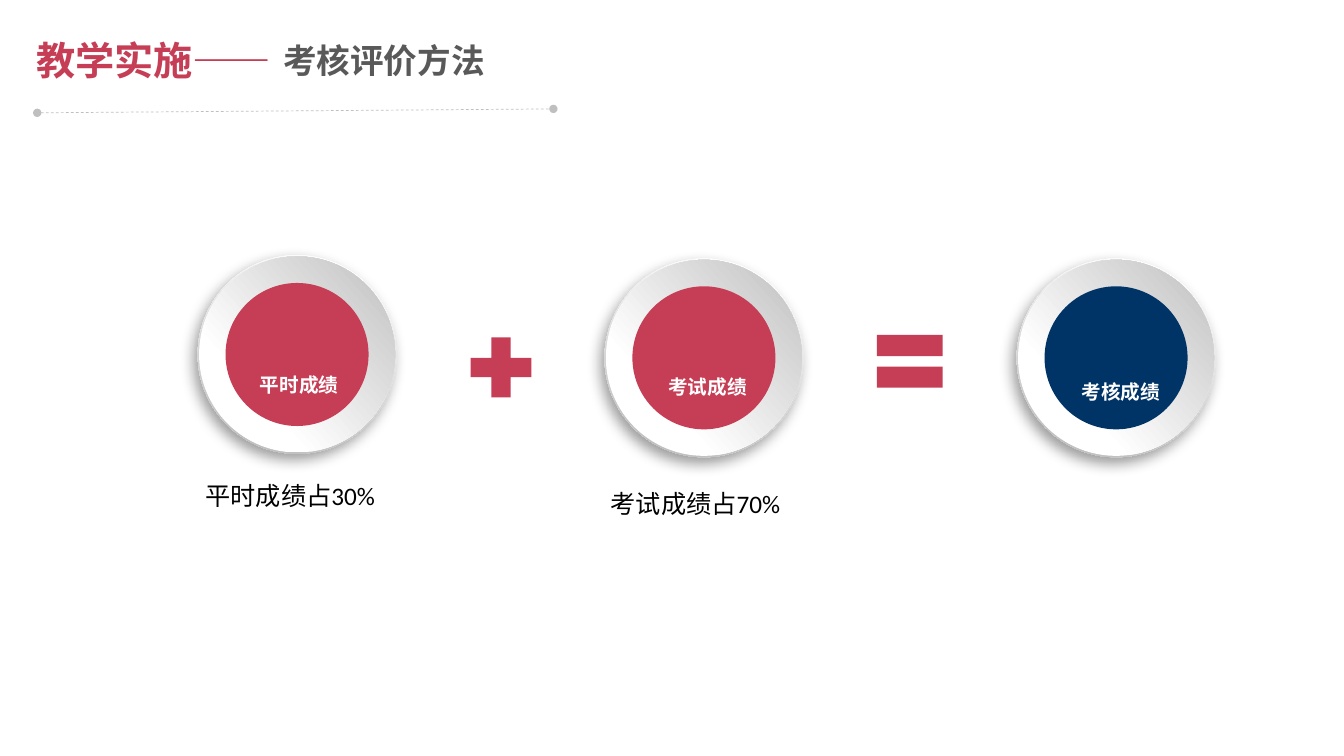
from dataclasses import dataclass

from lxml.etree import SubElement
from pptx import Presentation
from pptx.dml.color import RGBColor
from pptx.enum.dml import MSO_LINE as Dash
from pptx.enum.shapes import MSO_CONNECTOR as Link, MSO_SHAPE as Kind
from pptx.enum.text import MSO_AUTO_SIZE as Fit
from pptx.oxml.ns import qn
from pptx.util import Pt


@dataclass(frozen=True)
class Theme:
    red: str = "C63E55"
    navy: str = "003366"
    gray: str = "595959"
    rule: str = "BFBFBF"
    rim: str = "B8B8B8"
    white: str = "FFFFFF"
    black: str = "000000"
    title: int = 28
    topic: int = 24
    note: int = 18
    label: int = 14
    sans: str = "Noto Sans CJK SC"
    latin: str = "Calibri"


class Board:
    def __init__(self, slide, theme):
        self.slide = slide
        self.theme = theme

    def text(self, words, box, size, color, bold=True, face=None, wrap=True, home=None):
        home = home or self.slide.shapes
        shape = home.add_textbox(*map(Pt, box))
        frame = shape.text_frame
        frame.word_wrap = wrap
        frame.auto_size = Fit.SHAPE_TO_FIT_TEXT
        run = frame.paragraphs[0].add_run()
        run.text = words
        style = {"name": face or self.theme.sans, "size": Pt(size), "bold": bold}
        for key, value in style.items():
            setattr(run.font, key, value)
        run.font.color.rgb = RGBColor.from_string(color)
        SubElement(run.font._element, qn("a:ea"), typeface=self.theme.sans)

    def shape(self, kind, box, color=None, home=None):
        home = home or self.slide.shapes
        shape = home.add_shape(kind, *map(Pt, box))
        shape.shadow.inherit = False
        shape.line.fill.background()
        if color:
            shape.fill.solid()
            shape.fill.fore_color.rgb = RGBColor.from_string(color)
        return shape

    def disc(self, mid, size, color=None, home=None):
        x, y = mid
        box = (x - size / 2, y - size / 2, size, size)
        return self.shape(Kind.OVAL, box, color, home)

    def ring(self, mid, size, turn, stops, home):
        """Add a turned disc with a two-stop gradient that turns with it."""
        disc = self.disc(mid, size, home=home)
        disc.rotation = turn
        disc.fill.gradient()
        disc.fill.gradient_angle = 315
        for stop, (place, color) in zip(disc.fill.gradient_stops, stops):
            stop.position = place
            stop.color.rgb = RGBColor.from_string(color)
        return disc

    def shade(self, shape):
        """Cast a soft shadow to the lower left."""
        list_ = shape._element.spPr.find(qn("a:effectLst"))
        cast = SubElement(list_, qn("a:outerShdw"), blurRad=str(Pt(10)), dist=str(Pt(5)),
                          dir=str(123 * 60000), algn="ctr", rotWithShape="0")
        tone = SubElement(cast, qn("a:srgbClr"), val=self.theme.black)
        SubElement(tone, qn("a:alpha"), val="39000")

    def badge(self, words, mid, color, box):
        look = self.theme
        home = self.slide.shapes.add_group_shape().shapes
        rim = self.ring(mid, 142, 62.3, [(0.17, look.white), (0.88, look.rim)], home)
        self.shade(rim)
        self.ring(mid, 140, 273, [(0.29, look.white), (0.98, look.rule)], home)
        self.disc(mid, 102.2, color, home)
        self.text(words, box, look.label, look.white, home=home)

    def rule(self, start, end):
        link = self.slide.shapes.add_connector(Link.STRAIGHT, *map(Pt, start + end))
        link.line.color.rgb = RGBColor.from_string(self.theme.rule)
        link.line.width = Pt(0.5)
        link.line.dash_style = Dash.DASH
        props = link._element.spPr
        for tag in ("a:headEnd", "a:tailEnd"):
            SubElement(props.find(qn("a:ln")), qn(tag), type="oval")
        SubElement(props, qn("a:effectLst"))


def main():
    deck = Presentation()
    deck.slide_width, deck.slide_height = Pt(960), Pt(540)
    look = Theme()
    board = Board(deck.slides.add_slide(deck.slide_layouts[6]), look)

    board.text("教学实施——", (18.7, 22.3, 188.6, 41), look.title, look.red, wrap=False)
    board.text("考核评价方法", (195.1, 25.2, 159.8, 36), look.topic, look.gray, wrap=False)
    board.rule((26.6, 80.6), (395.3, 77.8))

    board.shape(Kind.MATH_PLUS, (328.3, 233.3, 59, 58.3), look.red)
    board.shape(Kind.MATH_EQUAL, (617.8, 226.1, 64, 64), look.red)

    badges = [
        ("平时成绩", (212.2, 253.2), look.red, (178.6, 262.8, 93.6, 24.5)),
        ("考试成绩", (502.8, 255.6), look.red, (470.2, 264.2, 89.3, 24.5)),
        ("考核成绩", (797.2, 255.6), look.navy, (765.4, 267.8, 79.2, 24.5)),
    ]
    for badge in badges:
        board.badge(*badge)

    notes = [("平时成绩占30%", 139.7, 339.8), ("考试成绩占70%", 429.1, 345.6)]
    for words, x, y in notes:
        board.text(words, (x, y, 146.2, 28.8), look.note, look.black, False, look.latin)

    deck.save("out.pptx")


if __name__ == "__main__":
    main()
